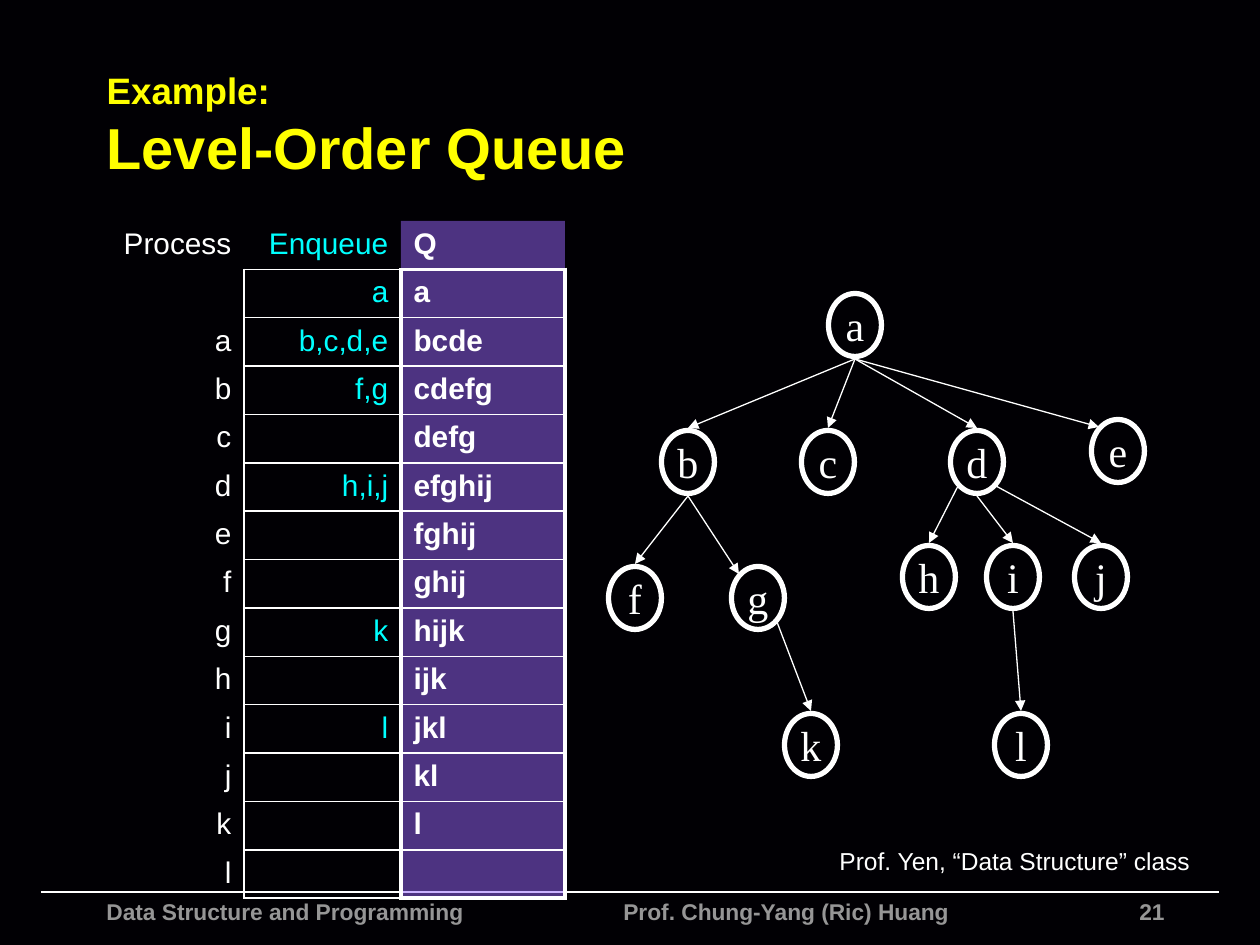
from lxml.etree import SubElement
from pptx import Presentation
from pptx.dml.color import RGBColor
from pptx.enum.shapes import MSO_CONNECTOR, MSO_SHAPE
from pptx.enum.text import MSO_ANCHOR, MSO_AUTO_SIZE, PP_ALIGN
from pptx.oxml import parse_xml
from pptx.oxml.ns import nsdecls, qn
from pptx.util import Pt

COLORS = {"background": "010004", "line": "FFFFFF", "title": "FFFF00",
          "enqueue": "00FFFF", "queue": "9966FF", "footer": "969696"}

TITLE = ["Example:", "Level-Order Queue"]
TITLE_SIZES = [21, 33]
CREDIT = "Prof. Yen, “Data Structure” class"
FOOTER = "Data Structure and Programming\tProf. Chung-Yang (Ric) Huang"
PAGE = "21"

STEPS = [
    ("Process", "Enqueue", "Q"),
    ("", "a", "a"),
    ("a", "b,c,d,e", "bcde"),
    ("b", "f,g", "cdefg"),
    ("c", "", "defg"),
    ("d", "h,i,j", "efghij"),
    ("e", "", "fghij"),
    ("f", "", "ghij"),
    ("g", "k", "hijk"),
    ("h", "", "ijk"),
    ("i", "l", "jkl"),
    ("j", "", "kl"),
    ("k", "", "l"),
    ("l", "", ""),
]
COLUMNS = [
    (150, "line", PP_ALIGN.RIGHT, False),
    (157, "enqueue", PP_ALIGN.RIGHT, False),
    (164, "line", PP_ALIGN.LEFT, True),
]
TABLE_LEFT, TABLE_TOP, TABLE_HEIGHT = 94, 221, 675
THIN, THICK = 1, 2.25

NODE_WIDTH, NODE_HEIGHT = 53, 63
NODES = {
    "a": (855, 325),
    "b": (688, 462), "c": (828, 462), "d": (977, 462), "e": (1118, 451),
    "f": (635, 598), "g": (758, 598),
    "h": (929, 577), "i": (1013, 577), "j": (1101, 577),
    "k": (811, 745), "l": (1021, 745),
}
ANCHORS = {"top": (0, -34), "bottom": (0, 34), "top left": (-19, -24),
           "bottom left": (-19, 24), "bottom right": (19, 24)}
EDGES = [
    ("a", "bottom", "b", "top"),
    ("a", "bottom", "c", "top"),
    ("a", "bottom", "d", "top"),
    ("a", "bottom", "e", "top left"),
    ("b", "bottom", "f", "top"),
    ("b", "bottom", "g", "top left"),
    ("d", "bottom left", "h", "top"),
    ("d", "bottom", "i", "top"),
    ("d", "bottom right", "j", "top"),
    ("g", "bottom right", "k", "top"),
    ("i", "bottom", "l", "top"),
]


def px(length):
    return round(length * 914400 / 126)


def rgb(name):
    return RGBColor.from_string(COLORS[name])


def style(font, size, color, bold=False, face="Arial"):
    font.size, font.bold, font.name = Pt(size), bold, face
    font.color.rgb = rgb(color)


def add_text(slide, box, text, size, color, bold=False, align=PP_ALIGN.LEFT):
    frame = slide.shapes.add_textbox(*map(px, box)).text_frame
    frame.word_wrap = True
    frame.text = text
    paragraph = frame.paragraphs[0]
    paragraph.alignment = align
    for run in paragraph.runs:
        style(run.font, size, color, bold)
    return paragraph


def add_line(slide, start, end, width, arrow=False):
    line = slide.shapes.add_connector(MSO_CONNECTOR.STRAIGHT, *map(px, start + end))
    line.line.color.rgb = rgb("line")
    line.line.width = Pt(width)
    if arrow:
        SubElement(line._element.spPr.find(qn("a:ln")), qn("a:tailEnd"), type="triangle")
    SubElement(line._element.spPr, qn("a:effectLst"))


def cell_borders(row, column):
    last = len(STEPS) - 1
    if column == 0:
        return {"R": THIN} if row else {}
    if row == 0:
        return {"B": THIN if column == 1 else THICK}
    if column == 1:
        return {"L": THIN, "R": THICK, "T": THIN, "B": THIN}
    return {"L": THICK, "R": THICK, "T": THICK if row == 1 else THIN,
            "B": THICK if row == last else THIN}


def add_steps(slide):
    width = sum(column[0] for column in COLUMNS)
    table = slide.shapes.add_table(
        len(STEPS), len(COLUMNS),
        *map(px, (TABLE_LEFT, TABLE_TOP, width, TABLE_HEIGHT))).table
    table.first_row = table.horz_banding = False
    table._tbl.tblPr.find(qn("a:tableStyleId")).text = "{2D5ABB26-0587-4C30-8999-92F81FD0307C}"
    for row in table.rows:
        row.height = px(TABLE_HEIGHT / len(STEPS))
    for c, (column_width, color, align, bold) in enumerate(COLUMNS):
        table.columns[c].width = px(column_width)
        for r, step in enumerate(STEPS):
            cell = table.cell(r, c)
            cell.text = step[c]
            paragraph = cell.text_frame.paragraphs[0]
            paragraph.alignment = align
            for run in paragraph.runs:
                style(run.font, 17, color, bold)
            if not step[c]:
                SubElement(paragraph._p, qn("a:endParaRPr"), sz="1700")
            if c == 2:
                cell.fill.solid()
                cell.fill.fore_color.rgb = rgb("queue")
                tint = cell._tc.tcPr.find(".//" + qn("a:srgbClr"))
                SubElement(tint, qn("a:alpha"), val="50000")
            else:
                cell.fill.background()
            for i, (side, weight) in enumerate(cell_borders(r, c).items()):
                cell._tc.tcPr.insert(i, parse_xml(
                    f'<a:ln{side} {nsdecls("a")} w="{Pt(weight)}"><a:solidFill>'
                    f'<a:srgbClr val="{COLORS["line"]}"/></a:solidFill></a:ln{side}>'))


def add_node(slide, letter, x, y):
    node = slide.shapes.add_shape(
        MSO_SHAPE.OVAL, px(x - NODE_WIDTH / 2), px(y - NODE_HEIGHT / 2),
        px(NODE_WIDTH), px(NODE_HEIGHT))
    node.shadow.inherit = False
    node.fill.background()
    node.line.color.rgb = rgb("line")
    node.line.width = Pt(3)
    frame = node.text_frame
    frame.word_wrap = False
    frame.vertical_anchor = MSO_ANCHOR.MIDDLE
    frame.text = letter
    frame.paragraphs[0].alignment = PP_ALIGN.CENTER
    style(frame.paragraphs[0].runs[0].font, 24, "line", face="Times New Roman")


def anchor(letter, side):
    return tuple(a + b for a, b in zip(NODES[letter], ANCHORS[side]))


def add_title(slide):
    title = slide.shapes.title
    title.left, title.top, title.width, title.height = map(px, (94, 45, 1071, 158))
    frame = title.text_frame
    frame.auto_size = MSO_AUTO_SIZE.NONE
    frame.vertical_anchor = MSO_ANCHOR.MIDDLE
    frame.text = "\v".join(TITLE)
    heading = frame.paragraphs[0]
    heading.alignment = PP_ALIGN.LEFT
    for run, size in zip(heading.runs, TITLE_SIZES):
        style(run.font, size, "title", True)
    SubElement(heading._p.find(qn("a:br")), qn("a:rPr"), sz=str(TITLE_SIZES[0] * 100))


def main():
    deck = Presentation()
    deck.slide_width, deck.slide_height = px(1260), px(945)
    slide = deck.slides.add_slide(deck.slide_layouts[5])
    slide.background.fill.solid()
    slide.background.fill.fore_color.rgb = rgb("background")

    add_line(slide, (41, 892), (1219, 892), 1)
    add_text(slide, (777, 892, 400, 42), PAGE, 13, "footer", True, PP_ALIGN.RIGHT)
    footer = add_text(slide, (94, 892, 912, 53), FOOTER, 13, "footer", True)
    tabs = SubElement(footer._p.get_or_add_pPr(), qn("a:tabLst"))
    SubElement(tabs, qn("a:tab"), pos=str(px(517)), algn="l")

    for letter, center in NODES.items():
        add_node(slide, letter, *center)
    for parent, start, child, end in EDGES:
        add_line(slide, anchor(parent, start), anchor(child, end), 0.75, arrow=True)
    add_steps(slide)
    add_title(slide)
    add_text(slide, (815, 840, 400, 42), CREDIT, 14, "line", align=PP_ALIGN.CENTER)
    deck.save("out.pptx")


if __name__ == "__main__":
    main()
